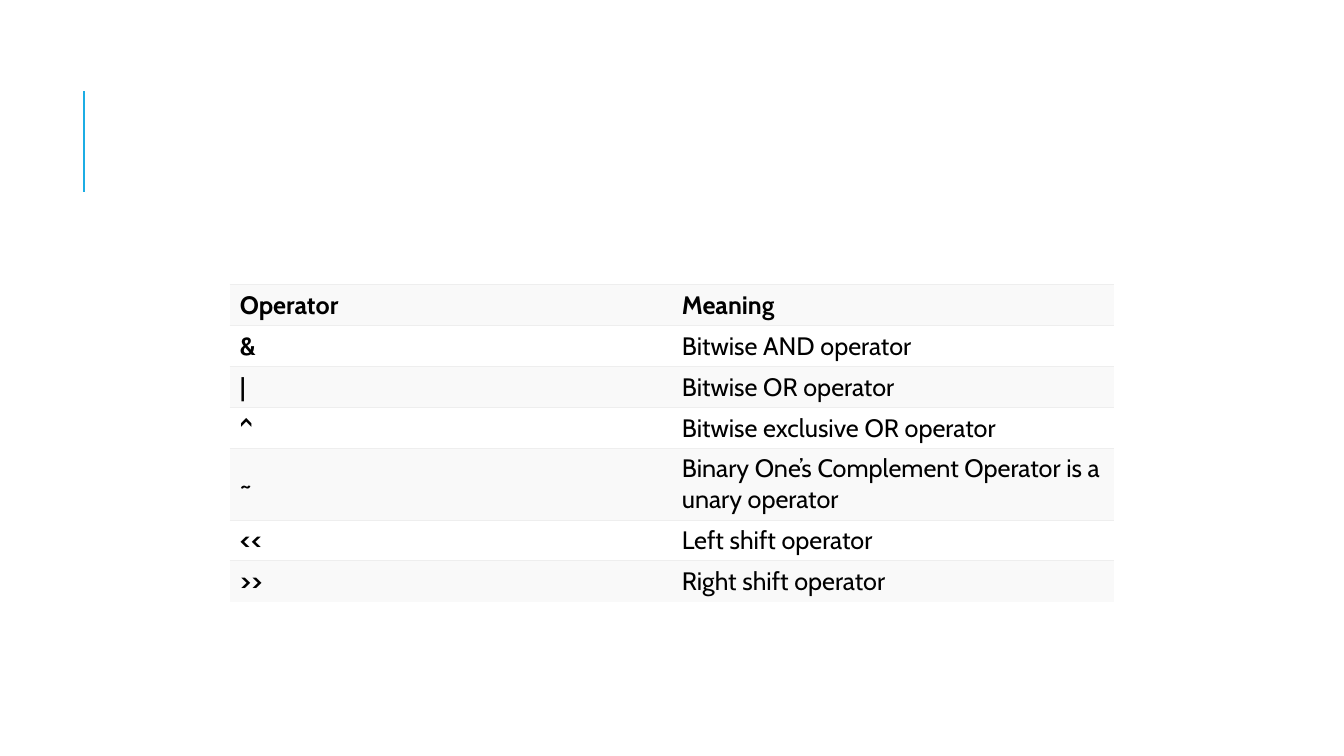
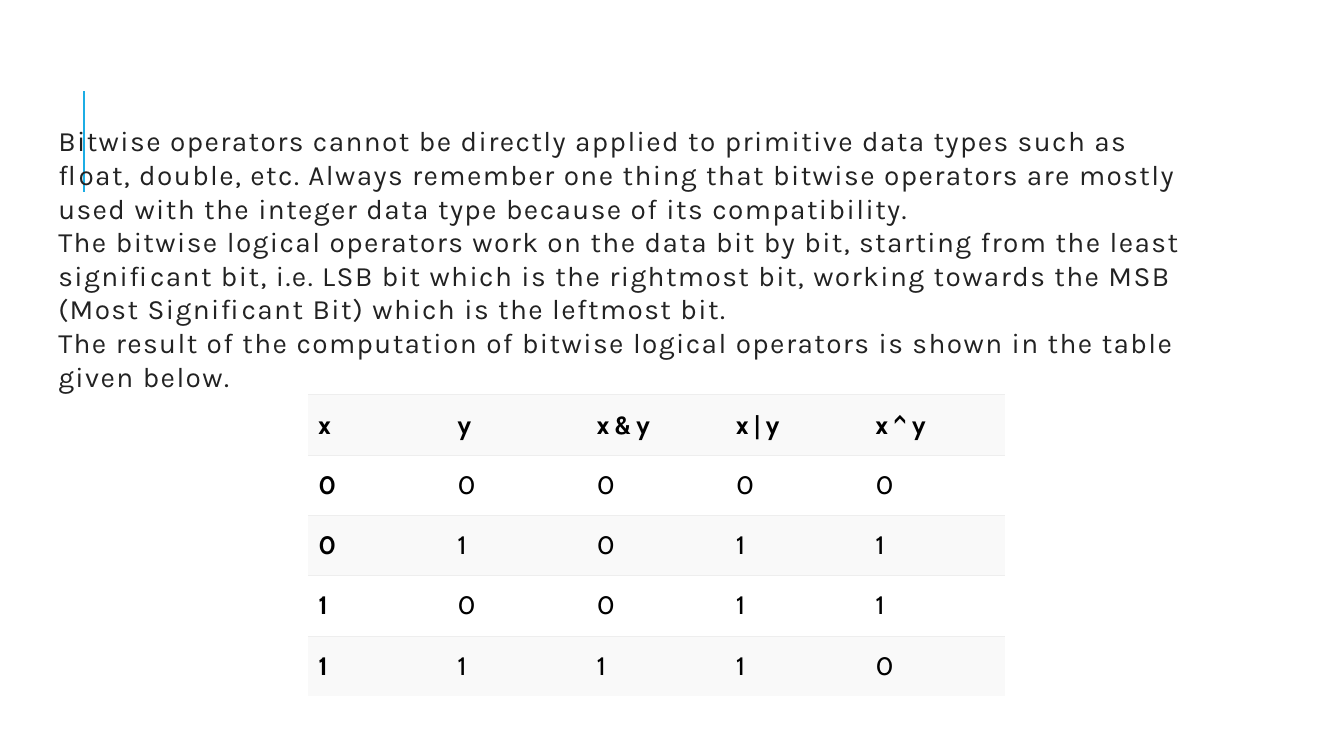
from lxml.etree import SubElement
from pptx import Presentation
from pptx.dml.color import RGBColor
from pptx.enum.shapes import MSO_CONNECTOR
from pptx.enum.text import MSO_ANCHOR
from pptx.oxml import parse_xml
from pptx.oxml.ns import nsdecls, qn
from pptx.util import Cm, Pt

# Shared style
ACCENT = "1CADE4"
BODY_COLOR = "222222"
TABLE_TEXT = "000000"
BORDER = "EEEEEE"
ROW_FILLS = ("F9F9F9", "FFFFFF")
BODY_FONT = "Karla"
TABLE_FONT = "Cabin"

# Content
OPERATORS = [
    ("Operator", "Meaning"),
    ("&", "Bitwise AND operator"),
    ("|", "Bitwise OR operator"),
    ("^", "Bitwise exclusive OR operator"),
    ("~", "Binary One’s Complement Operator is a unary operator"),
    ("<<", "Left shift operator"),
    (">>", "Right shift operator"),
]
EXPLANATION = [
    "Bitwise operators cannot be directly applied to primitive data types such "
    "as float, double, etc. Always remember one thing that bitwise operators are "
    "mostly used with the integer data type because of its compatibility.",
    "The bitwise logical operators work on the data bit by bit, starting from the "
    "least significant bit, i.e. LSB bit which is the rightmost bit, working "
    "towards the MSB (Most Significant Bit) which is the leftmost bit.",
    "The result of the computation of bitwise logical operators is shown in the "
    "table given below.",
]
TRUTH_TABLE = [("x", "y", "x & y", "x | y", "x ^ y")] + [
    tuple(str(value) for value in (x, y, x & y, x | y, x ^ y))
    for x in (0, 1) for y in (0, 1)
]


def color(hex_string):
    return RGBColor.from_string(hex_string)


def write(paragraph, text, *, font, size, fill, bold=False, tracking=0, leading=None):
    """Add a formatted run; tracking and leading are in points."""
    run = paragraph.add_run()
    run.text = text
    run.font.name = font
    run.font.size = Pt(size)
    run.font.bold = bold
    run.font.color.rgb = color(fill)
    if tracking:
        run.font._element.set("spc", str(tracking * 100))
    if leading:
        paragraph.line_spacing = Pt(leading)


def add_accent_line(slide):
    line = slide.shapes.add_connector(
        MSO_CONNECTOR.STRAIGHT, Cm(2.11), Cm(4.83), Cm(2.11), Cm(2.29))
    line.line.color.rgb = color(ACCENT)
    line.line.width = Pt(1.5)
    SubElement(line._element.spPr, qn("a:effectLst"))


def add_text(slide, paragraphs, left, top, width, height):
    shape = slide.shapes.add_textbox(Cm(left), Cm(top), Cm(width), Cm(height))
    frame = shape.text_frame
    frame.word_wrap = True
    frame.vertical_anchor = MSO_ANCHOR.TOP
    frame.margin_top = Cm(0.5)
    for index, text in enumerate(paragraphs):
        paragraph = frame.add_paragraph() if index else frame.paragraphs[0]
        write(paragraph, text, font=BODY_FONT, size=20, fill=BODY_COLOR,
              tracking=1, leading=24)


def set_borders(cell, visible_sides):
    properties = cell._tc.get_or_add_tcPr()
    for position, side in enumerate("LRTB"):
        if side in visible_sides:
            paint = f'<a:solidFill><a:srgbClr val="{BORDER}"/></a:solidFill>'
        else:
            paint = "<a:noFill/>"
        border = parse_xml(
            f'<a:ln{side} {nsdecls("a")} w="{Pt(0.75)}">{paint}</a:ln{side}>')
        properties.insert(position, border)


def add_table(slide, rows, left, top, column_width, row_height):
    """Add a striped table with a bold first row and first column."""
    column_count = len(rows[0])
    table = slide.shapes.add_table(
        len(rows), column_count, Cm(left), Cm(top),
        Cm(column_width * column_count), Cm(row_height * len(rows))).table
    table.first_row = table.horz_banding = False
    for column in table.columns:
        column.width = Cm(column_width)
    for row_index, texts in enumerate(rows):
        table.rows[row_index].height = Cm(row_height)
        is_last = row_index == len(rows) - 1
        for column_index, text in enumerate(texts):
            cell = table.cell(row_index, column_index)
            cell.vertical_anchor = MSO_ANCHOR.MIDDLE
            cell.fill.solid()
            cell.fill.fore_color.rgb = color(ROW_FILLS[row_index % 2])
            set_borders(cell, "T" if is_last else "TB")
            write(cell.text_frame.paragraphs[0], text, font=TABLE_FONT, size=18,
                  fill=TABLE_TEXT, bold=row_index == 0 or column_index == 0)


def add_slide(presentation):
    slide = presentation.slides.add_slide(presentation.slide_layouts[6])
    add_accent_line(slide)
    return slide


def main():
    presentation = Presentation()
    presentation.slide_width = Cm(33.87)
    presentation.slide_height = Cm(19.05)

    # Operator overview
    slide = add_slide(presentation)
    add_table(slide, OPERATORS, 5.79, 7.18, 11.14, 1.02)

    # Explanation and truth table
    slide = add_slide(presentation)
    add_text(slide, EXPLANATION, 1.22, 2.62, 29.21, 6.91)
    add_table(slide, TRUTH_TABLE, 7.77, 9.95, 3.51, 1.52)

    presentation.save("out.pptx")


main()
